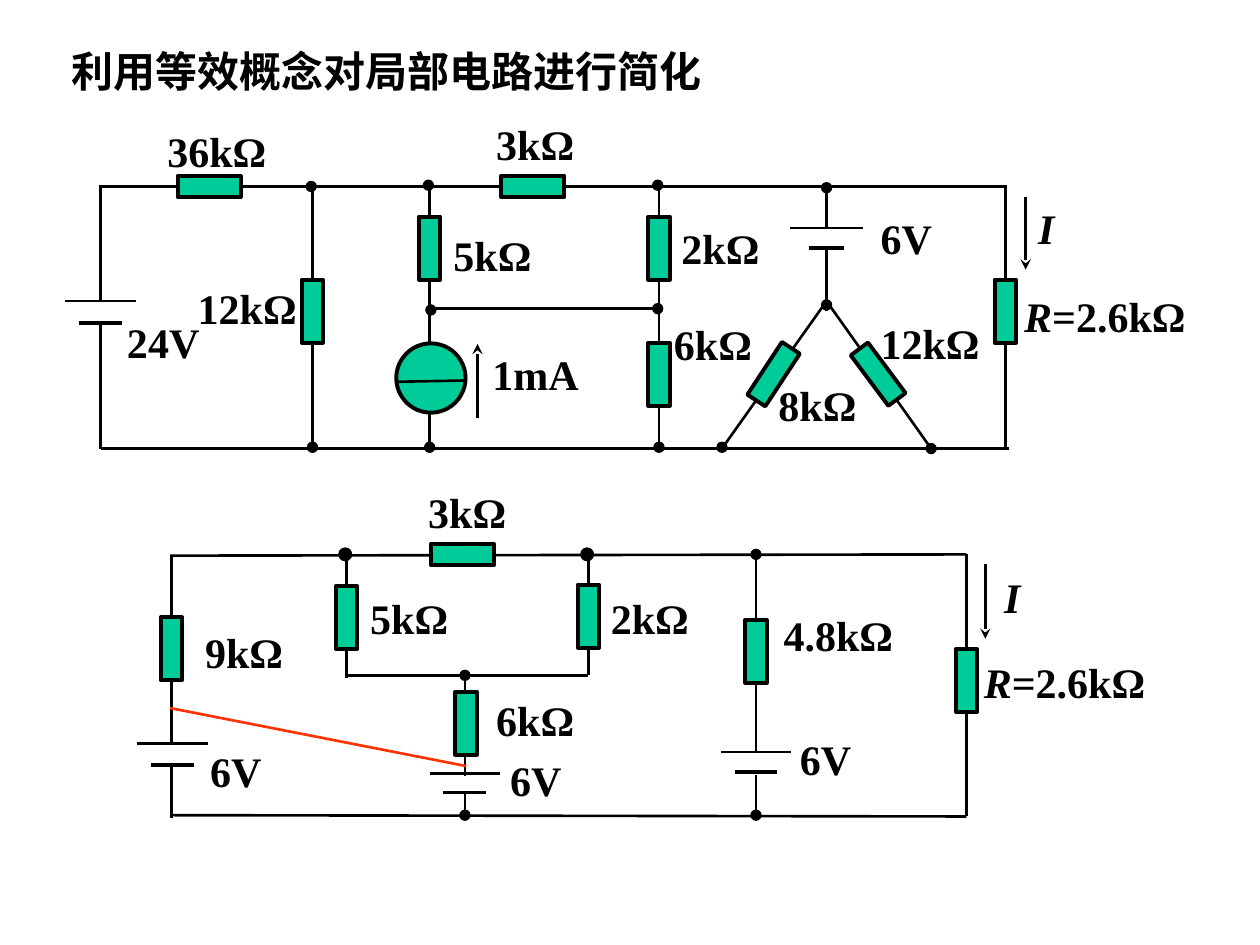
from dataclasses import dataclass

from lxml import etree
from pptx import Presentation
from pptx.dml.color import RGBColor
from pptx.enum.shapes import MSO_CONNECTOR, MSO_SHAPE
from pptx.enum.text import MSO_ANCHOR, MSO_AUTO_SIZE, PP_ALIGN
from pptx.oxml.ns import qn
from pptx.util import Cm, Pt

STRAIGHT = MSO_CONNECTOR.STRAIGHT
RECTANGLE, OVAL = MSO_SHAPE.RECTANGLE, MSO_SHAPE.OVAL
TOP, GROW = MSO_ANCHOR.TOP, MSO_AUTO_SIZE.SHAPE_TO_FIT_TEXT
LEFT, CENTER = PP_ALIGN.LEFT, PP_ALIGN.CENTER


@dataclass(frozen=True)
class Theme:
    font: str = "Times New Roman"
    size: Pt = Pt(24)
    ink: RGBColor = RGBColor(0, 0, 0)
    component: RGBColor = RGBColor(0, 0xCC, 0x99)
    accent: RGBColor = RGBColor(0xFF, 0x33, 0)
    hairline: Pt = Pt(0.75)
    wire: Pt = Pt(1.5)
    heavy: Pt = Pt(2.25)


THEME = Theme()

# Positions are in grid units of one inch.
GRID = 2.54
LONG, SHORT = 0.5, 0.17  # resistor sides
DOT = 0.08
SOURCE = 0.55
LABEL_HEIGHT = 0.5

TITLE = ("利用等效概念对局部电路进行简化", 0.45, 0.31, 5.23)

# wires, arrows: x1, y1, x2, y2
# cells: x, y of long plate, y of short plate, half lengths of both
# across, upright: centre of resistor, and rotation; sources: centre
# nodes, big_nodes: centre; labels: text, left, top, width
FULL_CIRCUIT = {
    "wires": [
        (0.81, 1.48, 7.99, 1.48), (0.8, 3.56, 8.01, 3.56),
        (0.8, 1.47, 0.8, 2.39), (0.8, 2.56, 0.8, 3.56),
        (2.48, 1.47, 2.48, 3.56), (3.41, 1.47, 3.41, 3.56),
        (5.23, 1.47, 5.23, 3.56), (3.43, 2.45, 5.23, 2.45),
        (6.56, 1.47, 6.56, 1.81), (6.56, 1.97, 6.56, 2.47),
        (6.56, 2.39, 5.73, 3.56), (6.56, 2.39, 7.39, 3.56),
        (7.98, 1.47, 7.98, 3.56),
    ],
    "cells": [(0.8, 2.39, 2.56, 0.28, 0.17), (6.56, 1.81, 1.97, 0.29, 0.14)],
    "across": [(1.66, 1.48, 0), (4.23, 1.48, 0)],
    "upright": [
        (2.48, 2.47, 0), (3.41, 1.97, 0), (5.23, 1.97, 0), (5.23, 2.97, 0),
        (7.98, 2.47, 0), (6.14, 2.97, 33.3), (6.97, 2.97, 323.3),
    ],
    "sources": [(3.42, 3.0)],
    "arrows": [(3.79, 3.32, 3.79, 2.73), (8.14, 1.56, 8.14, 2.14)],
    "nodes": [
        (2.47, 1.48), (3.4, 1.47), (5.22, 1.47), (6.56, 1.49),
        (3.42, 2.46), (5.22, 2.45), (6.56, 2.42),
        (2.48, 3.55), (3.41, 3.55), (5.23, 3.55), (5.73, 3.55), (7.39, 3.56),
    ],
    "big_nodes": [],
    "labels": [
        ("24V", 0.91, 2.46, 0.83), ("36kΩ", 1.23, 0.95, 1.09),
        ("12kΩ", 1.47, 2.19, 1.02), ("5kΩ", 3.5, 1.77, 0.88),
        ("3kΩ", 3.84, 0.89, 0.86), ("2kΩ", 5.31, 1.72, 0.93),
        ("6kΩ", 5.25, 2.48, 0.88), ("8kΩ", 6.08, 2.96, 0.94),
        ("12kΩ", 6.89, 2.47, 1.05), ("R=2.6kΩ", 8.03, 2.26, 1.52),
        ("I", 8.14, 1.56, 0.45), ("6V", 6.89, 1.64, 1), ("1mA", 3.81, 2.72, 1.09),
    ],
}

SIMPLIFIED_CIRCUIT = {
    "wires": [
        (1.35, 4.41, 7.67, 4.4), (1.36, 6.47, 7.67, 6.48),
        (1.36, 4.41, 1.36, 5.91), (1.36, 6.08, 1.36, 6.49),
        (2.75, 4.39, 2.75, 5.38), (4.67, 4.41, 4.67, 5.36),
        (2.74, 5.36, 4.67, 5.36), (3.69, 5.35, 3.69, 6.16),
        (3.69, 6.29, 3.69, 6.49), (6, 4.43, 6, 5.98),
        (6, 6.15, 6, 6.48), (7.67, 4.4, 7.67, 6.48),
    ],
    "cells": [
        (1.37, 5.9, 6.07, 0.28, 0.17), (3.69, 6.14, 6.29, 0.28, 0.17),
        (6, 5.97, 6.13, 0.28, 0.17),
    ],
    "across": [(3.67, 4.4, 0)],
    "upright": [
        (1.36, 5.15, 0), (2.75, 4.9, 0), (4.67, 4.89, 0),
        (3.7, 5.74, 0), (6, 5.17, 0), (7.67, 5.4, 0),
    ],
    "sources": [],
    "arrows": [(7.82, 4.48, 7.82, 5.07)],
    "nodes": [(6, 4.4), (6, 6.47), (3.69, 6.47), (3.69, 5.36)],
    "big_nodes": [(2.74, 4.4), (4.66, 4.4)],
    "labels": [
        ("6V", 6.25, 5.77, 0.77), ("6V", 1.57, 5.87, 0.79),
        ("9kΩ", 1.53, 4.92, 0.83), ("5kΩ", 2.84, 4.65, 0.96),
        ("3kΩ", 3.3, 3.81, 1.08), ("2kΩ", 4.75, 4.65, 0.94),
        ("6kΩ", 3.84, 5.46, 0.9), ("4.8kΩ", 6.12, 4.79, 1.18),
        ("R=2.6kΩ", 7.71, 5.16, 1.6), ("I", 7.87, 4.49, 0.49),
        ("6V", 3.95, 5.94, 0.82),
    ],
}

ACCENT_LINE = (1.35, 5.62, 3.7, 6.08)


def grid(*units):
    return [Cm(unit * GRID) for unit in units]


def add_line(slide, ends, width=THEME.wire, color=THEME.ink, arrow=False):
    connector = slide.shapes.add_connector(STRAIGHT, *grid(*ends))
    connector.line.width = width
    connector.line.color.rgb = color
    properties = connector.element.spPr
    if arrow:
        etree.SubElement(properties.find(qn("a:ln")), qn("a:tailEnd"), type="stealth")
    etree.SubElement(properties, qn("a:effectLst"))


def add_component(slide, kind, center, size, fill, width, angle=0):
    (x, y), (w, h) = center, size
    component = slide.shapes.add_shape(kind, *grid(x - w / 2, y - h / 2, w, h))
    component.shadow.inherit = False
    component.rotation = angle
    component.fill.solid()
    component.fill.fore_color.rgb = fill
    component.line.color.rgb = THEME.ink
    component.line.width = width


def write(frame, text, align=LEFT, wrap=True):
    """Fill a text frame, with the circuit symbols R and I in italics."""
    frame_format = {"word_wrap": wrap, "auto_size": GROW, "vertical_anchor": TOP}
    for name, value in frame_format.items():
        setattr(frame, name, value)
    paragraph = frame.paragraphs[0]
    paragraph.alignment = align
    symbol = text[:1] if text[0] in "RI" else ""
    for piece, italic in ((symbol, True), (text[len(symbol):], False)):
        if piece:
            run = paragraph.add_run()
            run.text = piece
            run_format = {"name": THEME.font, "size": THEME.size,
                          "bold": True, "italic": italic}
            for name, value in run_format.items():
                setattr(run.font, name, value)
            run.font.color.rgb = THEME.ink


def draw_circuit(slide, circuit):
    for wire in circuit["wires"]:
        add_line(slide, wire)
    for x, y_long, y_short, half_long, half_short in circuit["cells"]:
        add_line(slide, (x - half_long, y_long, x + half_long, y_long))
        add_line(slide, (x - half_short, y_short, x + half_short, y_short), THEME.heavy)
    for group, size in (("across", (LONG, SHORT)), ("upright", (SHORT, LONG))):
        for x, y, angle in circuit[group]:
            add_component(slide, RECTANGLE, (x, y), size, THEME.component, THEME.heavy, angle)
    for x, y in circuit["sources"]:
        add_component(slide, OVAL, (x, y), (SOURCE, SOURCE), THEME.component, THEME.heavy)
        add_line(slide, (x - SOURCE / 2, y + 0.03, x + SOURCE / 2, y + 0.02))
    for arrow in circuit["arrows"]:
        add_line(slide, arrow, arrow=True)
    for group, outline in (("nodes", THEME.hairline), ("big_nodes", THEME.heavy)):
        for center in circuit[group]:
            add_component(slide, OVAL, center, (DOT, DOT), THEME.ink, outline)
    for text, left, top, width in circuit["labels"]:
        label = slide.shapes.add_textbox(*grid(left, top, width, LABEL_HEIGHT))
        write(label.text_frame, text)


def main():
    deck = Presentation()
    deck.slide_width, deck.slide_height = Cm(25.4), Cm(19.05)
    slide = deck.slides.add_slide(deck.slide_layouts[5])
    text, left, top, width = TITLE
    title = slide.shapes.title
    title.left, title.top, title.width, title.height = grid(left, top, width, LABEL_HEIGHT)
    write(title.text_frame, text, CENTER, wrap=False)
    for circuit in (FULL_CIRCUIT, SIMPLIFIED_CIRCUIT):
        draw_circuit(slide, circuit)
    add_line(slide, ACCENT_LINE, color=THEME.accent)
    deck.save("out.pptx")


if __name__ == "__main__":
    main()
